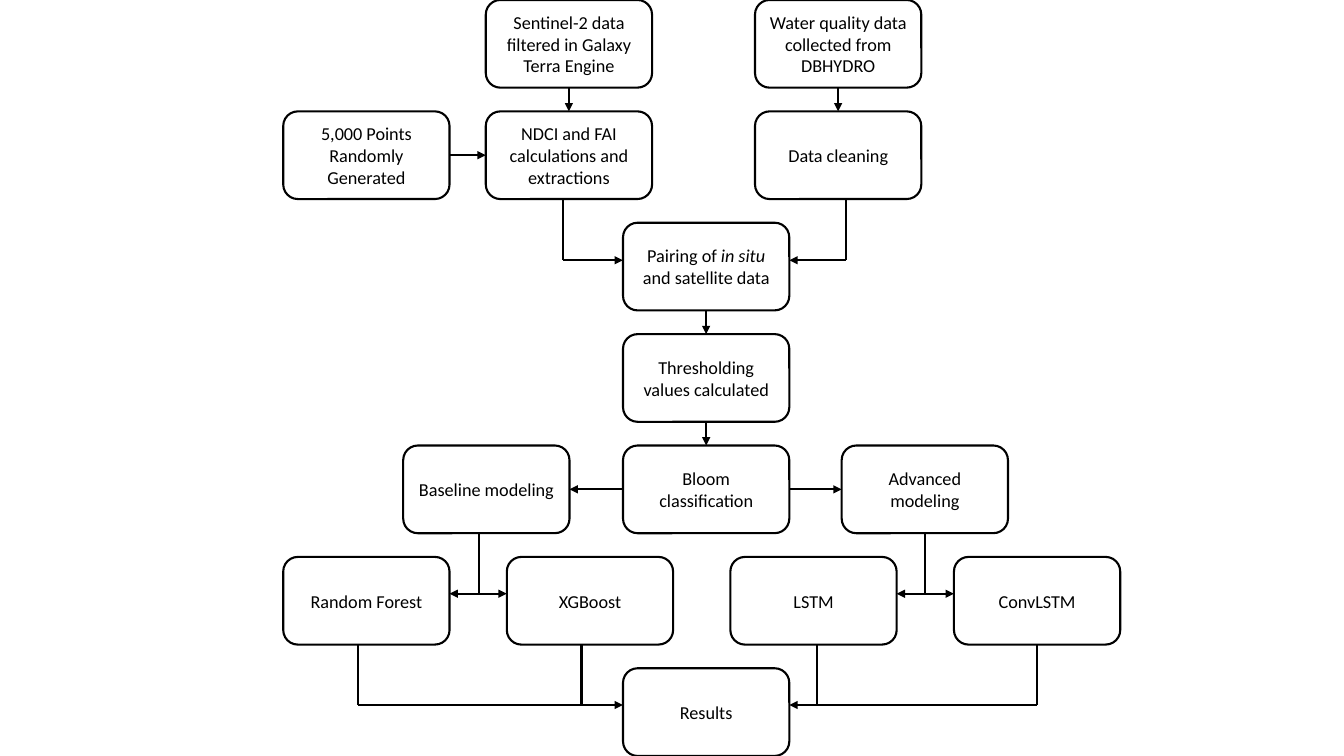
import pptx
import pptx.util
import pptx.dml.color
import pptx.enum.shapes
import pptx.enum.text
import pptx.oxml.ns
from lxml import etree

Pt = pptx.util.Pt
BLACK = pptx.dml.color.RGBColor(0, 0, 0)
WHITE = pptx.dml.color.RGBColor(255, 255, 255)
TOP, LEFT, BOTTOM, RIGHT = range(4)


class Chart:
    """Draw the boxes and lines of a flow chart on one slide."""

    font, size, weight = "Calibri", 13, 1.5
    wide, high, step = 118.8, 62.64, 79.56

    def __init__(self, slide):
        self.shapes = slide.shapes

    def box(self, left, row, *parts):
        box = self.shapes.add_shape(
            pptx.enum.shapes.MSO_SHAPE.ROUNDED_RECTANGLE,
            Pt(left), Pt(row * self.step), Pt(self.wide), Pt(self.high))
        box.shadow.inherit = False
        box.fill.solid()
        box.fill.fore_color.rgb = WHITE
        box.line.color.rgb = BLACK
        box.line.width = Pt(self.weight)
        frame = box.text_frame
        frame.word_wrap = True
        frame.vertical_anchor = pptx.enum.text.MSO_ANCHOR.MIDDLE
        para = frame.paragraphs[0]
        para.alignment = pptx.enum.text.PP_ALIGN.CENTER
        for spot, part in enumerate(parts):
            run = para.add_run()
            run.text = part
            run.font.name = self.font
            run.font.size = Pt(self.size)
            run.font.color.rgb = BLACK
            run.font.italic = spot % 2 == 1
        return box

    def line(self, x1, y1, x2, y2, *ends):
        line = self.shapes.add_connector(
            pptx.enum.shapes.MSO_CONNECTOR.STRAIGHT,
            Pt(x1), Pt(y1), Pt(x2), Pt(y2))
        line.line.color.rgb = BLACK
        line.line.width = Pt(self.weight)
        pen = line.line._get_or_add_ln()
        for end in ends:
            etree.SubElement(pen, pptx.oxml.ns.qn("a:" + end), type="triangle")
        etree.SubElement(pen.getparent(), pptx.oxml.ns.qn("a:effectLst"))
        return line

    def join(self, start, side, goal, port):
        line = self.line(0, 0, 0, 0, "tailEnd")
        line.begin_connect(start, side)
        line.end_connect(goal, port)


def main():
    deck = pptx.Presentation()
    deck.slide_width, deck.slide_height = Pt(960), Pt(540)
    chart = Chart(deck.slides.add_slide(deck.slide_layouts[6]))

    edge, mid, sat, site = 202.3, 445, 347, 539.3
    far = mid + chart.wide
    models = [edge + 159.7 * spot for spot in range(4)]

    pair = 185.9
    for stem, side in ((402.3, mid), (604.3, far)):
        chart.line(stem, 141.8, stem, pair)
        chart.line(stem, pair, side, pair, "tailEnd")

    fork = 424.1
    for stem, left, right in ((342, *models[:2]), (661, *models[2:])):
        chart.line(stem, 380.2, stem, fork)
        chart.line(left + chart.wide, fork, right, fork, "headEnd", "tailEnd")

    base = 503.6
    for stem in (255.6, 415.4, 583.9, 740.9):
        chart.line(stem, 460, stem, base)
    for stem, side in ((255.6, mid), (740.9, far)):
        chart.line(stem, base, side, base, "tailEnd")

    filtered = chart.box(sat, 0, "Sentinel-2 data filtered in Galaxy Terra Engine")
    water = chart.box(site, 0, "Water quality data collected from DBHYDRO")
    points = chart.box(edge, 1, "5,000 Points Randomly Generated")
    index = chart.box(sat, 1, "NDCI and FAI calculations and extractions")
    clean = chart.box(site, 1, "Data cleaning")
    paired = chart.box(mid, 2, "Pairing of ", "in situ", " and satellite data")
    limits = chart.box(mid, 3, "Thresholding values calculated")
    bloom = chart.box(mid, 4, "Bloom classification")
    simple = chart.box(288, 4, "Baseline modeling")
    deep = chart.box(601.2, 4, "Advanced modeling")
    for left, name in zip(models, ("Random Forest", "XGBoost", "LSTM", "ConvLSTM")):
        chart.box(left, 5, name)
    chart.box(mid, 6, "Results")

    for upper, lower in ((filtered, index), (water, clean),
                         (paired, limits), (limits, bloom)):
        chart.join(upper, BOTTOM, lower, TOP)
    chart.join(points, RIGHT, index, LEFT)
    chart.join(bloom, LEFT, simple, RIGHT)
    chart.join(bloom, RIGHT, deep, LEFT)

    deck.save("out.pptx")


if __name__ == "__main__":
    main()
